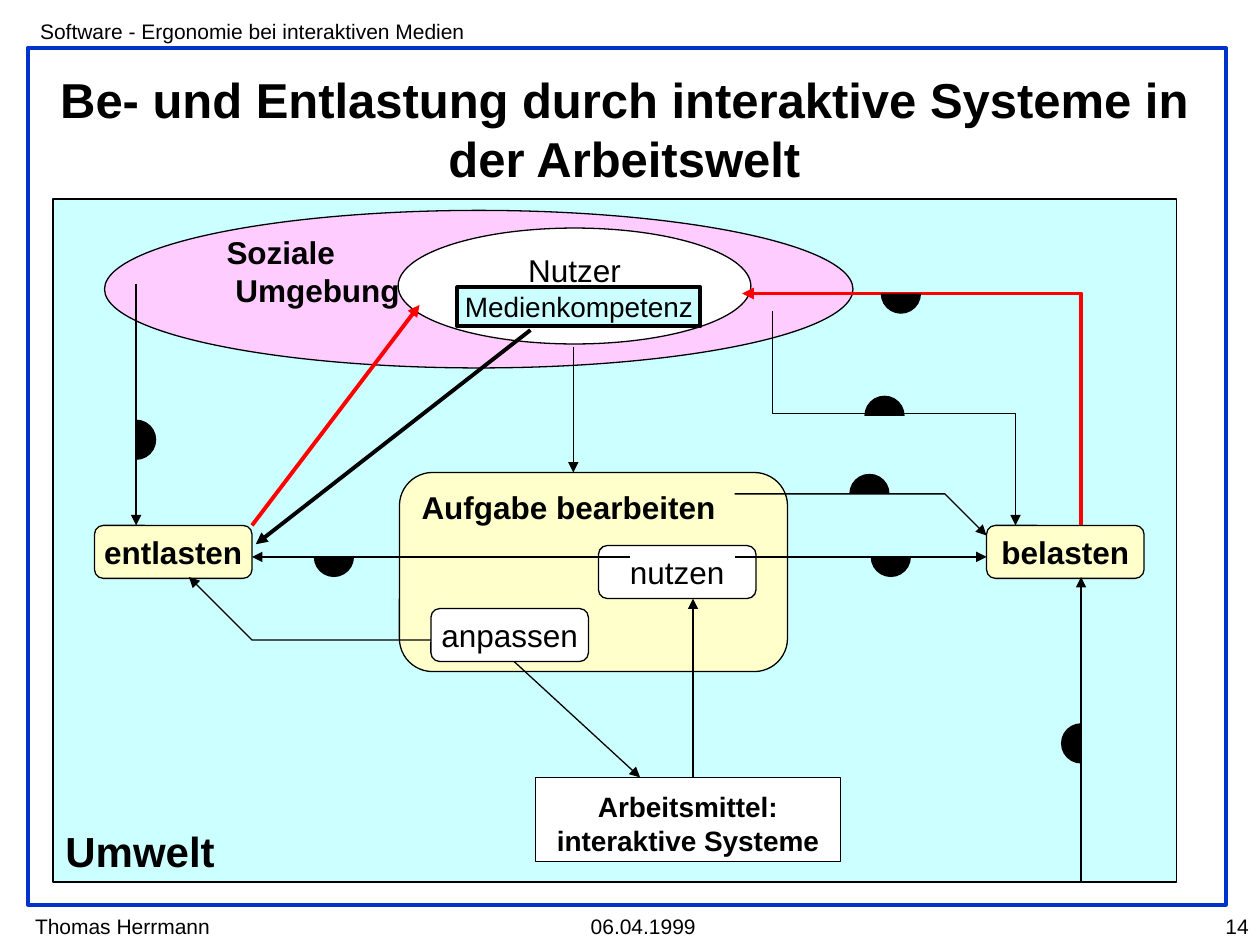
from pptx import Presentation
from pptx.dml.color import RGBColor
from pptx.enum.shapes import MSO_CONNECTOR, MSO_SHAPE
from pptx.enum.text import MSO_ANCHOR, MSO_AUTO_SIZE, PP_ALIGN
from pptx.oxml.ns import qn
from pptx.util import Inches, Pt
from lxml import etree

RECT, ROUND = MSO_SHAPE.RECTANGLE, MSO_SHAPE.ROUNDED_RECTANGLE
OVAL, CHORD = MSO_SHAPE.OVAL, MSO_SHAPE.CHORD
STRAIGHT = MSO_CONNECTOR.STRAIGHT
TOP, MIDDLE, BOTTOM = MSO_ANCHOR.TOP, MSO_ANCHOR.MIDDLE, MSO_ANCHOR.BOTTOM
LEFT, CENTER, RIGHT = PP_ALIGN.LEFT, PP_ALIGN.CENTER, PP_ALIGN.RIGHT
NO_FIT = MSO_AUTO_SIZE.NONE

BLACK, WHITE, RED, BLUE = "000000", "FFFFFF", "FF0000", "0033CC"
CYAN, PINK, YELLOW = "CCFFFF", "FFCCFF", "FFFFCC"


def colour(code):
    return RGBColor.from_string(code)


def write(shape, text, size, bold, align, anchor, wrap):
    frame = shape.text_frame
    frame.text = text
    frame.word_wrap = wrap
    frame.auto_size = NO_FIT
    frame.vertical_anchor = anchor
    for para in frame.paragraphs:
        para.alignment = align
        for span in para.runs:
            span.font.name = "Arial"
            span.font.size = Pt(size)
            span.font.bold = bold
            span.font.color.rgb = colour(BLACK)


deck = Presentation()
deck.slide_width, deck.slide_height = Inches(10), Inches(7.5)
page = deck.slides.add_slide(deck.slide_layouts[5])

title = page.shapes.title
title.left, title.top = Inches(0.33), Inches(0.5)
title.width, title.height = Inches(9.25), Inches(1.04)
write(title, "Be- und Entlastung durch interaktive Systeme in der Arbeitswelt",
      28, True, CENTER, MIDDLE, True)

border = page.shapes.add_shape(RECT, Inches(0.22), Inches(0.38), Inches(9.51), Inches(6.8))
border.shadow.inherit = False
border.fill.background()
border.line.color.rgb = colour(BLUE)
border.line.width = Pt(2.25)

captions = [
    ("Software - Ergonomie bei interaktiven Medien", 0.22, 0.1, 3.7, LEFT),
    ("Thomas Herrmann", 0.18, 7.2, 1.7, LEFT),
    ("06.04.1999", 4.59, 7.2, 1.1, LEFT),
    ("14", 9.05, 7.2, 0.96, RIGHT),
]
for text, left, top, width, align in captions:
    box = page.shapes.add_textbox(Inches(left), Inches(top), Inches(width), Inches(0.3))
    write(box, text, 12, False, align, TOP, True)

nodes = [
    ("Umwelt", RECT, 0.42, 1.58, 8.92, 5.42, CYAN, 24, True, LEFT, BOTTOM),
    ("Soziale\nUmgebung", OVAL, 0.83, 1.67, 5.94, 1.25, PINK, 18, True, LEFT, TOP),
    ("Arbeitsmittel:\ninteraktive Systeme", RECT, 4.25, 6.17, 2.42, 0.67, WHITE, 16, True, CENTER, TOP),
    ("entlasten", ROUND, 0.75, 4.17, 1.25, 0.42, YELLOW, 18, True, CENTER, MIDDLE),
    ("belasten", ROUND, 7.83, 4.17, 1.25, 0.42, YELLOW, 18, True, CENTER, MIDDLE),
    ("Aufgabe bearbeiten", ROUND, 3.17, 3.75, 3.08, 1.58, YELLOW, 18, True, LEFT, TOP),
    ("nutzen", ROUND, 4.75, 4.33, 1.25, 0.42, WHITE, 18, False, CENTER, MIDDLE),
    ("anpassen", ROUND, 3.42, 4.83, 1.25, 0.42, WHITE, 18, False, CENTER, MIDDLE),
    ("Nutzer", OVAL, 3.16, 1.81, 2.8, 0.92, WHITE, 18, False, CENTER, TOP),
    ("Medienkompetenz", RECT, 3.63, 2.28, 1.93, 0.31, CYAN, 16, False, CENTER, MIDDLE),
]
shapes = {}
for text, kind, left, top, width, height, fill, size, bold, align, anchor in nodes:
    node = page.shapes.add_shape(kind, Inches(left), Inches(top), Inches(width), Inches(height))
    node.shadow.inherit = False
    node.fill.solid()
    node.fill.fore_color.rgb = colour(fill)
    node.line.color.rgb = colour(BLACK)
    node.line.width = Pt(0.75)
    write(node, text, size, bold, align, anchor, False)
    shapes[text.split("\n")[0]] = node

shapes["Medienkompetenz"].line.width = Pt(2.25)
shapes["Arbeitsmittel:"].text_frame.margin_top = Inches(0.1)
social = shapes["Soziale"].text_frame
social.margin_top = 0
social.paragraphs[1].alignment = LEFT
social.paragraphs[1]._p.get_or_add_pPr().set("marL", str(Inches(0.07)))

arrows = [
    (BLACK, 0.75, [(1.08, 2.25), (1.08, 4.17)]),
    (BLACK, 0.75, [(4.55, 2.75), (4.55, 3.75)]),
    (RED, 2.25, [(2, 4.17), (3.33, 2.42)]),
    (BLACK, 0.75, [(5, 4.42), (2, 4.42)]),
    (BLACK, 0.75, [(5.83, 4.42), (7.83, 4.42)]),
    (BLACK, 0.75, [(4.08, 5.25), (5.08, 6.17)]),
    (BLACK, 0.75, [(5.5, 6.17), (5.5, 4.75)]),
    (BLACK, 0.75, [(5.83, 3.92), (7.5, 3.92), (7.83, 4.25)]),
    (BLACK, 0.75, [(8.58, 7), (8.58, 4.58)]),
    (RED, 2.25, [(8.58, 4.17), (8.58, 2.33), (5.89, 2.33)]),
    (BLACK, 0.75, [(3.42, 5.08), (2, 5.08), (1.5, 4.58)]),
    (BLACK, 0.75, [(6.13, 2.47), (6.13, 3.28), (8.06, 3.28), (8.06, 4.17)]),
    (BLACK, 2.25, [(4.21, 2.62), (2.03, 4.32)]),
]
for tint, weight, stops in arrows:
    points = [(Inches(x), Inches(y)) for x, y in stops]
    if len(points) == 2:
        arrow = page.shapes.add_connector(STRAIGHT, *points[0], *points[1])
    else:
        builder = page.shapes.build_freeform(*points[0])
        builder.add_line_segments(points[1:], close=False)
        arrow = builder.convert_to_shape()
        arrow.fill.background()
    arrow.line.color.rgb = colour(tint)
    arrow.line.width = Pt(weight)
    properties = arrow._element.spPr
    etree.SubElement(properties.find(qn("a:ln")), qn("a:tailEnd"), type="triangle")
    etree.SubElement(properties, qn("a:effectLst"))

half_discs = [
    (2.65, 4.42, 90), (1.08, 3.49, 0), (6.9, 3.92, 270), (7.07, 4.42, 90),
    (8.58, 5.9, 180), (7.15, 2.33, 90), (7.02, 3.3, 270),
]
radius = 0.16
for x, y, turn in half_discs:
    disc = page.shapes.add_shape(CHORD, Inches(x - radius), Inches(y - radius),
                                 Inches(2 * radius), Inches(2 * radius))
    disc.shadow.inherit = False
    disc.adjustments[0], disc.adjustments[1] = 162, 54
    disc.rotation = turn
    disc.fill.solid()
    disc.fill.fore_color.rgb = colour(BLACK)
    disc.line.fill.background()

deck.save("out.pptx")
